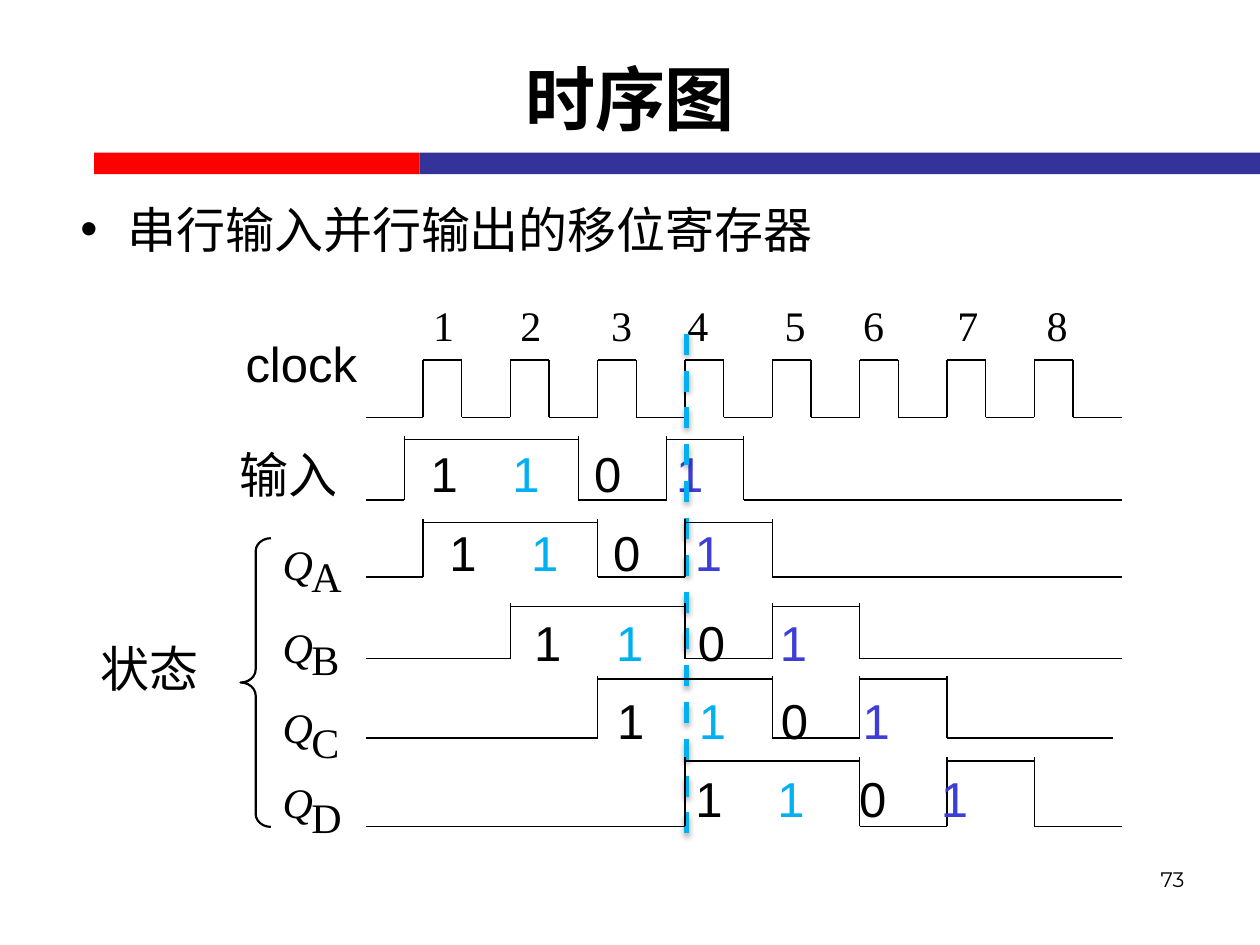
"""Timing diagram of a serial-in, parallel-out shift register."""
from lxml import etree
from pptx import Presentation
from pptx import util as u
from pptx.dml.color import RGBColor
from pptx.enum import dml, shapes, text
from pptx.oxml import ns

BLACK = RGBColor(0x00, 0x00, 0x00)
RED = RGBColor(0xFF, 0x00, 0x00)
NAVY = RGBColor(0x33, 0x33, 0x99)
SKY = RGBColor(0x00, 0xB0, 0xF0)
VIOLET = RGBColor(0x3D, 0x3D, 0xD7)

SANS, SERIF, CJK = "Arial", "Times New Roman", "Noto Sans CJK SC"
START, END = 7.37, 22.61
CLOCK_EDGES = [8.53 + 1.76 * i for i in range(8)]
COUNT_LEFTS = [8.48, 10.24, 12.07, 13.61, 15.57, 17.15, 19.05, 20.85]
BITS = [("1", BLACK), ("\t1", SKY), ("\t0", BLACK), ("\t1", VIOLET)]
BIT_PITCH = 1.65
STATES = [
    ("A", 10.85, 11.1, 10.54, 11.63, END, 8.81, 10.41),
    ("B", 12.52, 12.78, 12.22, 13.28, END, 10.52, 12.22),
    ("C", 14.15, 14.45, 13.69, 14.88, 22.43, 12.19, 13.79),
    ("D", 15.65, 15.95, 15.34, 16.66, END, 13.77, 15.37),
]


def add_xml(parent, tag, **attributes):
    return etree.SubElement(parent, ns.qn(tag), attributes)


class Painter:
    def __init__(self, slide, color=BLACK, width=0.75):
        self.slide = slide
        self.color = color
        self.width = width

    def bar(self, left, top, width, height, color):
        bar = self.slide.shapes.add_shape(
            shapes.MSO_SHAPE.RECTANGLE, u.Cm(left), u.Cm(top), u.Cm(width), u.Cm(height))
        bar.shadow.inherit = False
        bar.fill.solid()
        bar.fill.fore_color.rgb = color
        bar.line.fill.background()

    def brace(self, left, top, width, height):
        brace = self.slide.shapes.add_shape(
            shapes.MSO_SHAPE.LEFT_BRACE, u.Cm(left), u.Cm(top), u.Cm(width), u.Cm(height))
        brace.shadow.inherit = False
        brace.adjustments[0] = 0.43
        brace.fill.background()
        brace.line.color.rgb = self.color
        brace.line.width = u.Pt(1.25)

    def line(self, x1, y1, x2, y2):
        line = self.slide.shapes.add_connector(
            shapes.MSO_CONNECTOR.STRAIGHT, u.Cm(x1), u.Cm(y1), u.Cm(x2), u.Cm(y2))
        line.line.color.rgb = self.color
        line.line.width = u.Pt(self.width)
        effects = add_xml(line._element.spPr, "a:effectLst")
        return line, effects

    def marker(self, x, top, bottom):
        line, effects = self.line(x, top, x, bottom)
        line.line.color.rgb = SKY
        line.line.width = u.Pt(3)
        line.line.dash_style = dml.MSO_LINE.DASH
        shadow = add_xml(effects, "a:outerShdw", blurRad=str(u.Pt(3.1)),
                         dist=str(u.Pt(1.8)), dir="5400000", rotWithShape="0")
        color = add_xml(shadow, "a:srgbClr", val=str(BLACK))
        add_xml(color, "a:alpha", val="35000")

    def wave(self, edges, high, low, end=END, spur=0.07):
        points = [START, *edges, end]
        for i, (left, right) in enumerate(zip(points, points[1:])):
            level = high if i % 2 else low
            self.line(left, level, right, level)
        for x in edges:
            self.line(x, low, x, high - spur)

    def box(self, left, top, width, height, inset=True):
        box = self.slide.shapes.add_textbox(u.Cm(left), u.Cm(top), u.Cm(width), u.Cm(height))
        frame = box.text_frame
        frame.word_wrap = True
        if not inset:
            frame.margin_left = frame.margin_right = 0
            frame.margin_top = frame.margin_bottom = 0
        return frame

    def style(self, span, size, font, color=None, bold=False, italic=False):
        span.font.size = u.Pt(size)
        span.font.name = font
        span.font.bold = bold
        span.font.italic = italic
        span.font.color.rgb = color or self.color
        add_xml(span._r.get_or_add_rPr(), "a:ea", typeface=CJK)

    def label(self, words, place, size, font, inset=False, align=text.PP_ALIGN.LEFT, **looks):
        frame = self.box(*place, inset=inset)
        frame.text = words
        para = frame.paragraphs[0]
        para.alignment = align
        self.style(para.runs[0], size, font, **looks)
        return frame

    def bullet(self, words, place):
        para = self.label(words, place, 28, CJK, inset=True).paragraphs[0]
        props = para._p.get_or_add_pPr()
        props.set("marL", str(u.Cm(0.95)))
        props.set("indent", str(u.Cm(-0.95)))
        add_xml(props, "a:buFont", typeface=SANS)
        add_xml(props, "a:buChar", char="•")

    def bits(self, left, top):
        para = self.box(left, top, 6.55, 1.27).paragraphs[0]
        tabs = add_xml(para._p.get_or_add_pPr(), "a:tabLst")
        for i in range(1, len(BITS)):
            add_xml(tabs, "a:tab", pos=str(u.Cm(BIT_PITCH * i)), algn="l")
        for words, color in BITS:
            span = para.add_run()
            span.text = words
            self.style(span, 28, SANS, color)


def main():
    deck = Presentation()
    deck.slide_width, deck.slide_height = u.Cm(25.4), u.Cm(19.05)
    page = Painter(deck.slides.add_slide(deck.slide_layouts[6]))

    page.bar(1.9, 3.08, 6.56, 0.43, RED)
    page.bar(8.46, 3.08, 16.94, 0.43, NAVY)
    title = page.label("时序图", (1.27, 0.38, 22.86, 3.18), 40, SANS, inset=True,
                       align=text.PP_ALIGN.CENTER, bold=True)
    title.vertical_anchor = text.MSO_ANCHOR.MIDDLE
    page.bullet("串行输入并行输出的移位寄存器", (1.37, 3.89, 21.9, 12.09))
    page.label("73", (18.21, 17.35, 5.92, 1.32), 12, "Montserrat", inset=True,
               align=text.PP_ALIGN.RIGHT)

    page.label("clock", (4.95, 6.73, 2.4, 1.19), 28, SANS)
    for number, left in enumerate(COUNT_LEFTS, 1):
        page.label(str(number), (left, 5.92, 0.95, 1.12), 24, SERIF, inset=True)
    page.wave([x for rise in CLOCK_EDGES for x in (rise, rise + 0.78)], 7.26, 8.41, spur=0)

    page.label("输入", (4.83, 8.97, 2.41, 1.19), 28, CJK)
    page.wave([8.15, 11.66, 13.44, 14.99], 8.86, 10.08)
    page.bits(8.43, 8.81)

    page.label("状态", (2.03, 12.88, 2.64, 1.19), 28, CJK)
    page.brace(4.85, 10.85, 0.61, 5.82)
    page.marker(13.84, 6.73, 16.94)
    for i, (name, q_top, name_top, high, low, end, left, top) in enumerate(STATES):
        page.label("Q", (5.7, q_top, 0.8, 0.89), 24, SERIF, italic=True)
        page.label(name, (6.28, name_top, 0.8, 0.89), 24, SERIF)
        page.wave([CLOCK_EDGES[i + step] for step in (0, 2, 3, 4)], high, low, end)
        page.bits(left, top)

    deck.save("out.pptx")


if __name__ == "__main__":
    main()
